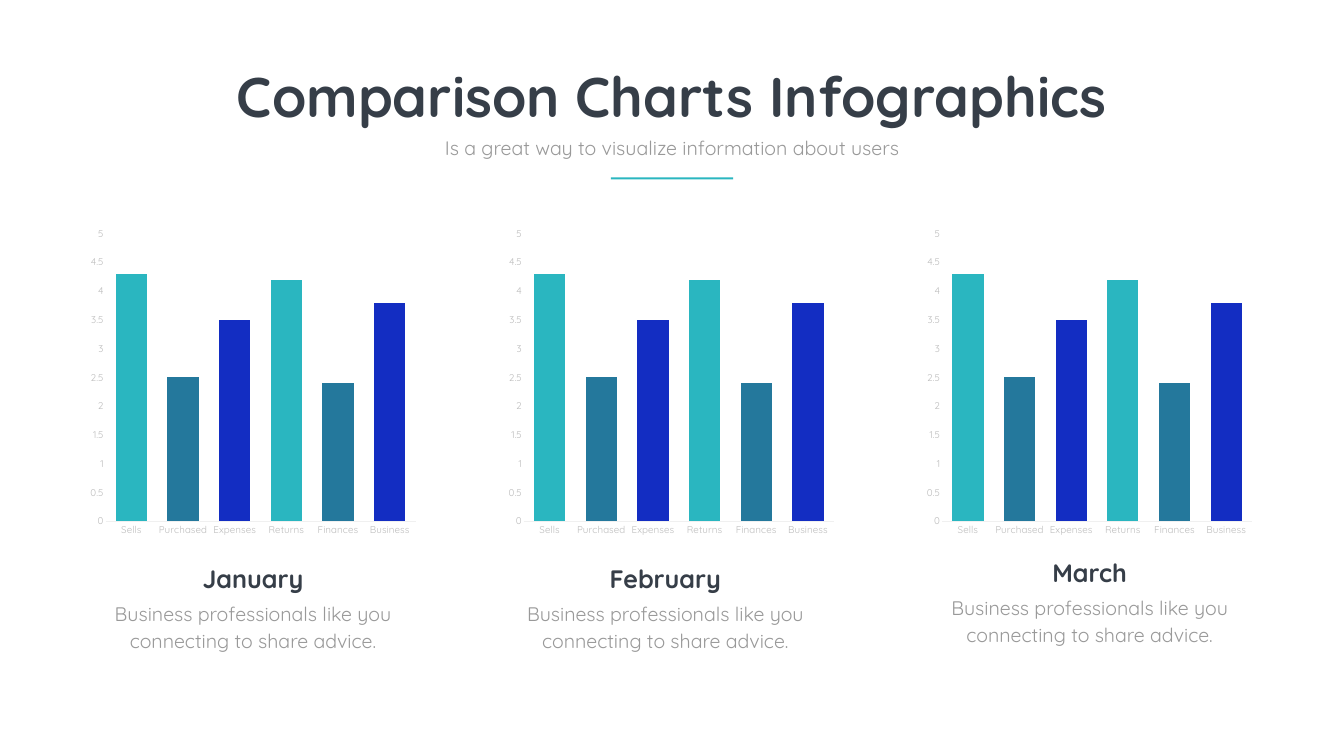
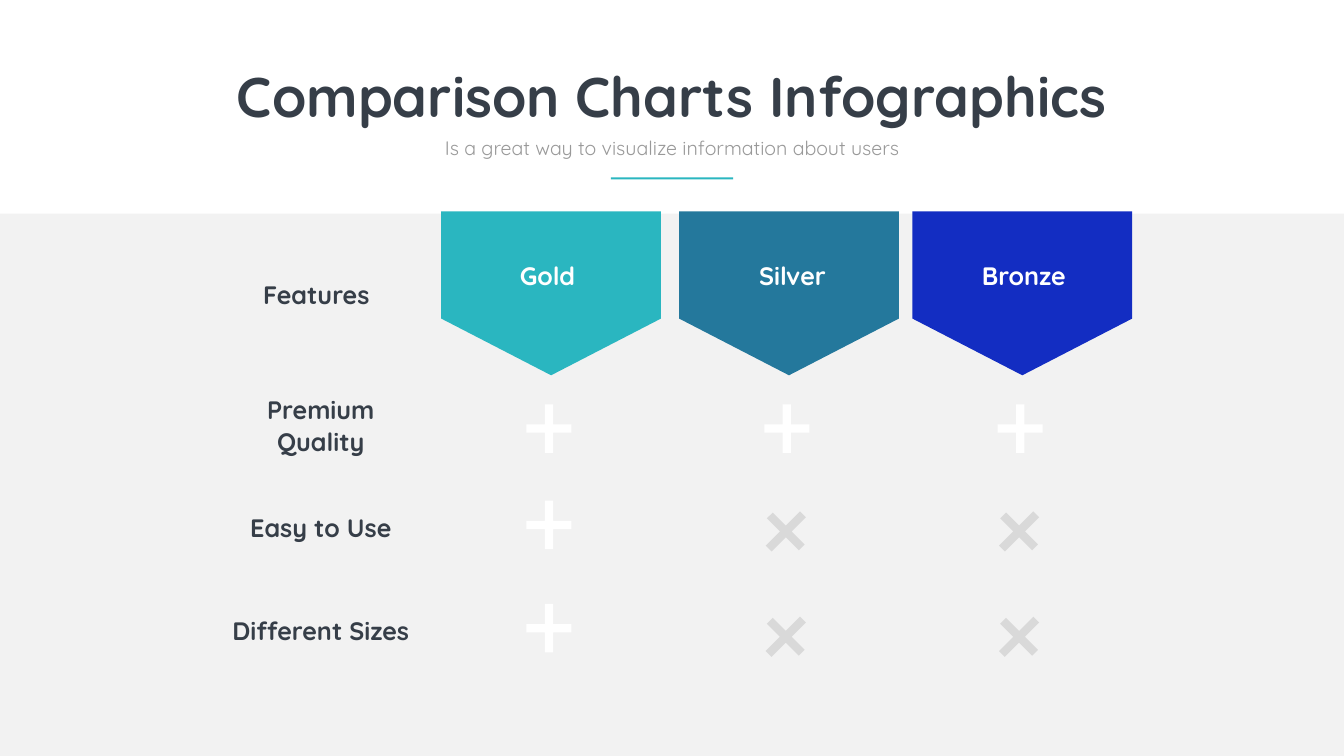
from pptx import Presentation
from pptx.chart.data import CategoryChartData
from pptx.dml.color import RGBColor
from pptx.enum.chart import XL_CHART_TYPE, XL_TICK_MARK
from pptx.enum.shapes import MSO_SHAPE
from pptx.enum.text import MSO_ANCHOR, MSO_AUTO_SIZE, PP_ALIGN
from pptx.oxml.ns import qn
from pptx.util import Inches, Pt

SLIDE_WIDTH, SLIDE_HEIGHT = Inches(26.67), Inches(15)
FONT = "Quicksand"
COLORS = {
    "dark": "363E48", "grey": "999999", "axis_text": "BDBDBD", "axis_line": "F0F0F0",
    "band": "F2F2F2", "cross": "D9D9D9", "white": "FFFFFF",
    "turquoise": "2AB6C0", "teal": "24789C", "blue": "132DC2",
}
ACCENTS = ["turquoise", "teal", "blue"]
NO_TABLE_STYLE = "{2D5ABB26-0587-4C30-8999-92F81FD0307C}"

EXPENSES = {"Sells": 4.3, "Purchased": 2.5, "Expenses": 3.5,
            "Returns": 4.2, "Finances": 2.4, "Business": 3.8}
# Month, left edge and top of its caption
MONTHS = [("January", 6.22, 74.13), ("February", 36.9, 74.13), ("March", 68.47, 73.33)]
# Plan, left edge of its pennant and of its label
PLANS = [("Gold", 34.91, 34.42), ("Silver", 52.61, 52.64), ("Bronze", 69.97, 69.85)]
# Feature lines, top of a plus and of a cross, and which plans include it
FEATURES = [
    (["Premium", "Quality"], 52.33, None, [True, True, True]),
    (["Easy to Use"], 65.07, 65.93, [True, False, False]),
    (["Different Sizes"], 78.73, 79.87, [True, False, False]),
]


def color(name):
    return RGBColor.from_string(COLORS[name])


def across(percent):
    return round(SLIDE_WIDTH * percent / 100)


def down(percent):
    return round(SLIDE_HEIGHT * percent / 100)


def place(left, top, width, height):
    """Turn percentages of the slide into a position and size."""
    return across(left), down(top), across(width), down(height)


def centered(top, width, height):
    return place((100 - width) / 2, top, width, height)


def style_font(font, size, color_name, bold=False):
    font.name = FONT
    font.size = Pt(size)
    font.bold = bold
    font.color.rgb = color(color_name)


def write_lines(text_frame, lines, size, color_name, bold=False, line_spacing=None):
    for index, line in enumerate(lines):
        paragraph = text_frame.add_paragraph() if index else text_frame.paragraphs[0]
        paragraph.alignment = PP_ALIGN.CENTER
        if line_spacing:
            paragraph.line_spacing = Pt(line_spacing)
        run = paragraph.add_run()
        run.text = line
        style_font(run.font, size, color_name, bold)


def add_text(slide, box, text, size, color_name, bold=False, line_spacing=None, wrap=True):
    text_frame = slide.shapes.add_textbox(*box).text_frame
    text_frame.word_wrap = wrap
    text_frame.auto_size = MSO_AUTO_SIZE.SHAPE_TO_FIT_TEXT
    write_lines(text_frame, [text], size, color_name, bold, line_spacing)


def add_filled_shape(slide, kind, box, color_name, rotation=0, adjustment=None):
    shape = slide.shapes.add_shape(kind, *box)
    shape.shadow.inherit = False
    shape.fill.solid()
    shape.fill.fore_color.rgb = color(color_name)
    shape.line.fill.background()
    shape.rotation = rotation
    if adjustment is not None:
        shape.adjustments[0] = adjustment


def add_heading(slide):
    add_text(slide, centered(7.8, 66.4, 9.67), "Comparison Charts Infographics",
             80, "dark", bold=True, wrap=False)
    add_text(slide, centered(17.67, 35.85, 3.8),
             "Is a great way to visualize information about users", 28, "grey")
    add_filled_shape(slide, MSO_SHAPE.RECTANGLE, centered(23.47, 9.11, 0.27), "turquoise")


def style_axis(axis):
    axis.has_major_gridlines = False
    axis.major_tick_mark = axis.minor_tick_mark = XL_TICK_MARK.NONE
    style_font(axis.tick_labels.font, 14, "axis_text")


def add_column_chart(slide, box):
    chart_data = CategoryChartData()
    chart_data.categories = list(EXPENSES)
    chart_data.add_series("Series 1", list(EXPENSES.values()))
    chart = slide.shapes.add_chart(XL_CHART_TYPE.COLUMN_CLUSTERED, *box, chart_data).chart
    chart.has_legend = chart.has_title = False
    style_font(chart.font, 14, "grey")

    style_axis(chart.category_axis)
    chart.category_axis.format.line.color.rgb = color("axis_line")
    chart.category_axis.format.line.width = Pt(0.75)
    value_axis = chart.value_axis
    style_axis(value_axis)
    value_axis.format.line.fill.background()
    value_axis.minimum_scale, value_axis.maximum_scale = 0, 5
    value_axis.major_unit = 0.5

    plot = chart.plots[0]
    plot.gap_width, plot.overlap = 65, -42
    plot.vary_by_categories = False
    series = plot.series[0]
    series.format.fill.solid()
    series.format.fill.fore_color.rgb = color(ACCENTS[0])
    for index in range(len(EXPENSES)):
        fill = series.points[index].format.fill
        fill.solid()
        fill.fore_color.rgb = color(ACCENTS[index % len(ACCENTS)])


def add_month_caption(slide, month, left, top):
    add_text(slide, place(left + 3.64, top, 17.92, 4.73), month, 36, "dark", bold=True)
    add_text(slide, place(left, top + 4.73, 25.2, 7.87),
             "Business professionals like you connecting to share advice.",
             28, "grey", line_spacing=38.6)


def add_feature_table(slide):
    widths = [18, 18, 18, 16.24]
    row_height = 13.53
    box = place(14.21, 49.6, sum(widths), row_height * len(FEATURES))
    table = slide.shapes.add_table(len(FEATURES), len(widths), *box).table
    table.first_row = table.horz_banding = False
    table._tbl.tblPr.find(qn("a:tableStyleId")).text = NO_TABLE_STYLE
    for column, width in zip(table.columns, widths):
        column.width = across(width)
    for row in table.rows:
        row.height = down(row_height)
    for cell in table.iter_cells():
        cell.fill.solid()
        cell.fill.fore_color.rgb = color("band")
    for index, (lines, *_) in enumerate(FEATURES):
        cell = table.cell(index, 0)
        cell.vertical_anchor = MSO_ANCHOR.MIDDLE
        cell.margin_left = Inches(0.45)
        write_lines(cell.text_frame, lines, 36, "dark", bold=True)


def add_plan_label(slide, text, left, top, color_name):
    add_text(slide, place(left, top, 12.64, 4.73), text, 36, color_name, bold=True)


def add_mark(slide, left, top, color_name, rotation=0):
    add_filled_shape(slide, MSO_SHAPE.MATH_PLUS, place(left, top, 4.57, 8.73),
                     color_name, rotation, 0.135)


def build_month_slide(slide):
    for month, left, top in MONTHS:
        add_month_caption(slide, month, left, top)
    add_heading(slide)
    for index in range(len(MONTHS)):
        add_column_chart(slide, place(6.22 + 31.12 * index, 29.2, 25.2, 42.53))


def build_plan_slide(slide):
    add_filled_shape(slide, MSO_SHAPE.RECTANGLE, place(0, 28.27, 100, 71.73), "band")
    add_feature_table(slide)
    add_plan_label(slide, "Features", 17.21, 36.6, "dark")
    for index, (plan, left, label_left) in enumerate(PLANS):
        add_filled_shape(slide, MSO_SHAPE.PENTAGON, place(left, 24.27, 12.19, 29.07),
                         ACCENTS[index], 90, 0.346)
        add_plan_label(slide, plan, label_left, 34.07, "white")
        for _, plus_top, cross_top, included in FEATURES:
            if included[index]:
                add_mark(slide, left + 3.65, plus_top, "white")
            else:
                add_mark(slide, left + 3.57, cross_top, "cross", 45)
    add_heading(slide)


def main():
    presentation = Presentation()
    presentation.slide_width, presentation.slide_height = SLIDE_WIDTH, SLIDE_HEIGHT
    for build in (build_month_slide, build_plan_slide):
        slide = presentation.slides.add_slide(presentation.slide_layouts[6])
        slide.background.fill.solid()
        slide.background.fill.fore_color.rgb = color("white")
        build(slide)
    presentation.save("out.pptx")


if __name__ == "__main__":
    main()
